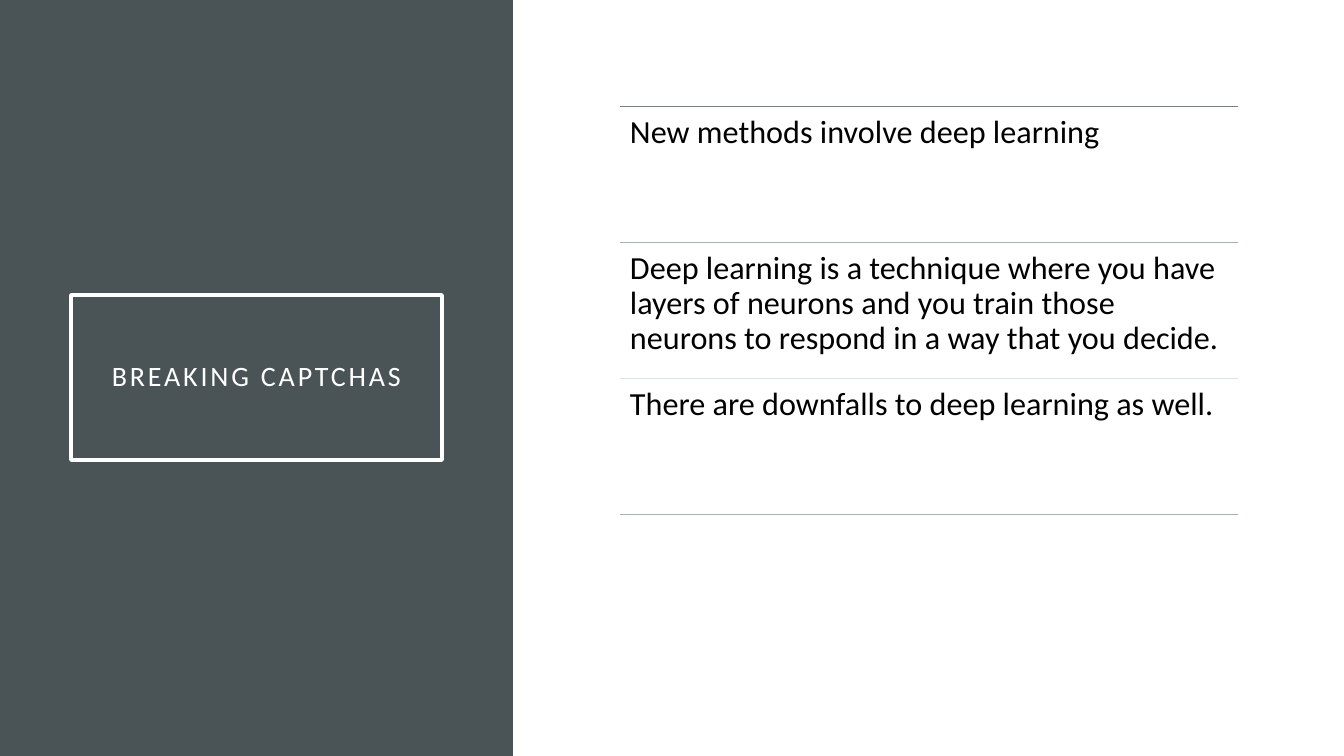
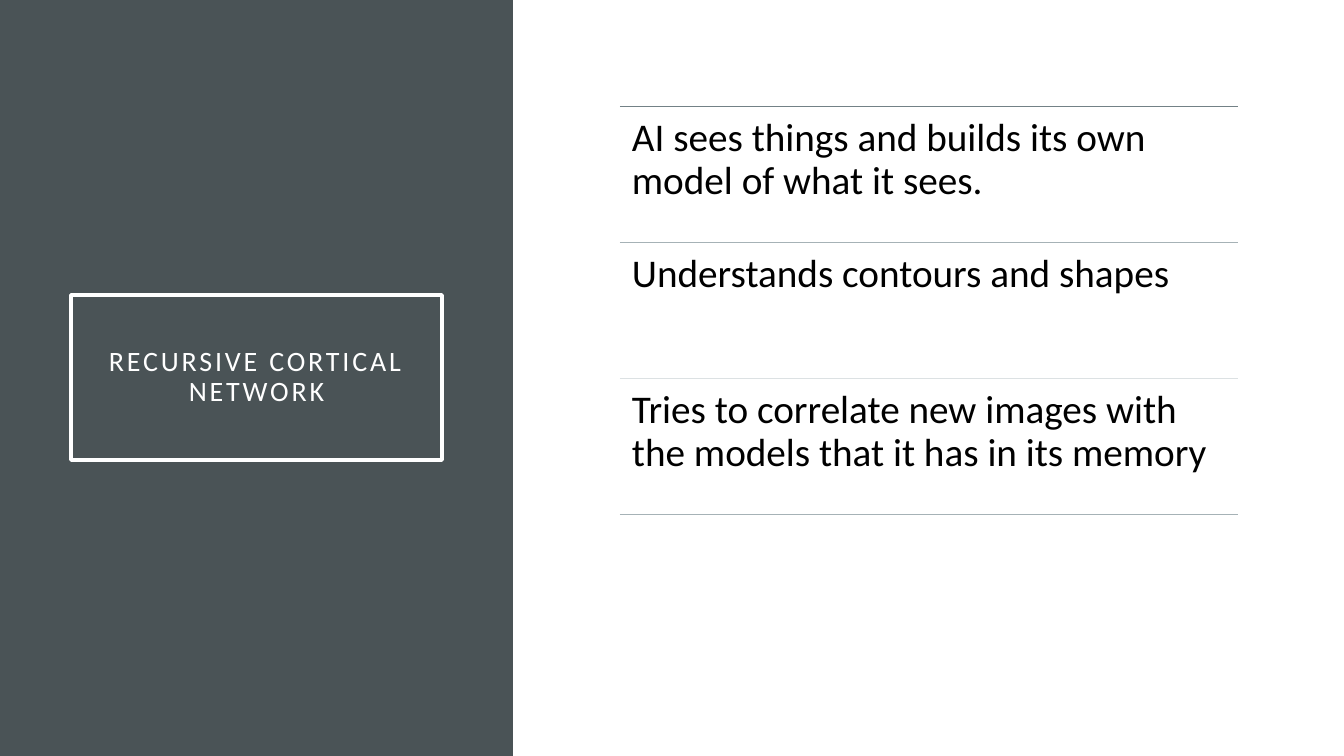
"""Build two slides with a dark title panel and a ruled list of statements."""
from lxml import etree
from pptx import Presentation
from pptx import util as u
from pptx.dml.color import RGBColor
from pptx.enum import shapes, text
from pptx.oxml.ns import qn

PANEL = RGBColor(0x4A, 0x53, 0x56)
WHITE = RGBColor(0xFF, 0xFF, 0xFF)
BLACK = RGBColor(0x00, 0x00, 0x00)
RULE_DARK = RGBColor(0x73, 0x81, 0x86)
RULE_MID = RGBColor(0xA6, 0xB2, 0xB6)
RULE_LIGHT = RGBColor(0xDC, 0xE1, 0xE3)
RULES = [RULE_DARK, RULE_MID, RULE_LIGHT, RULE_MID]

FONT = "Calibri"
SLIDE_W, SLIDE_H = 1344, 756
PANEL_W = 513
LIST_X, LIST_Y, LIST_W, ROW_H = 620, 106, 618, 136

SLIDES = [
    ("BREAKING CAPTCHAS", 23, 10, [
        "New methods involve deep learning",
        "Deep learning is a technique where you have layers of neurons "
        "and you train those neurons to respond in a way that you decide.",
        "There are downfalls to deep learning as well.",
    ]),
    ("RECURSIVE CORTICAL NETWORK", 28, 12, [
        "AI sees things and builds its own model of what it sees.",
        "Understands contours and shapes",
        "Tries to correlate new images with the models that it has in its memory",
    ]),
]


def px(*lengths):
    return [round(n * 914400 / 100.8) for n in lengths]


def write(sp, words, size, color, inset, align=text.PP_ALIGN.LEFT,
          anchor=text.MSO_ANCHOR.TOP, spacing=0):
    tf = sp.text_frame
    tf.word_wrap = True
    tf.auto_size = text.MSO_AUTO_SIZE.NONE
    tf.vertical_anchor = anchor
    tf.margin_left = tf.margin_top = tf.margin_right = tf.margin_bottom = px(inset)[0]
    p = tf.paragraphs[0]
    p.alignment = align
    p.line_spacing = 0.9
    r = p.add_run()
    r.text = words
    r.font.name = FONT
    r.font.size = u.Pt(size)
    r.font.color.rgb = color
    if spacing:
        r.font._element.set("spc", str(spacing * 100))


prs = Presentation()
prs.slide_width, prs.slide_height = px(SLIDE_W, SLIDE_H)

for heading, size, inset, items in SLIDES:
    s = prs.slides.add_slide(prs.slide_layouts[5])
    title = s.shapes.title
    title.left, title.top, title.width, title.height = px(71, 295, 371, 165)
    title.line.color.rgb = WHITE
    title.line.width = u.Pt(2.5)
    write(title, heading, 20, WHITE, 20, align=text.PP_ALIGN.CENTER,
          anchor=text.MSO_ANCHOR.MIDDLE, spacing=2)

    panel = s.shapes.add_shape(shapes.MSO_SHAPE.RECTANGLE, *px(0, 0, PANEL_W, SLIDE_H))
    panel.shadow.inherit = False
    panel.fill.solid()
    panel.fill.fore_color.rgb = PANEL
    panel.line.fill.background()
    title.element.addprevious(panel.element)

    for i, color in enumerate(RULES):
        y = LIST_Y + i * ROW_H
        rule = s.shapes.add_connector(
            shapes.MSO_CONNECTOR.STRAIGHT, *px(LIST_X, y, LIST_X + LIST_W, y))
        rule.line.color.rgb = color
        rule.line.width = u.Pt(0.5)
        etree.SubElement(rule.element.spPr, qn("a:effectLst"))

    for i, item in enumerate(items):
        box = s.shapes.add_textbox(*px(LIST_X, LIST_Y + i * ROW_H, LIST_W, ROW_H))
        write(box, item, size, BLACK, inset)

prs.save("out.pptx")
